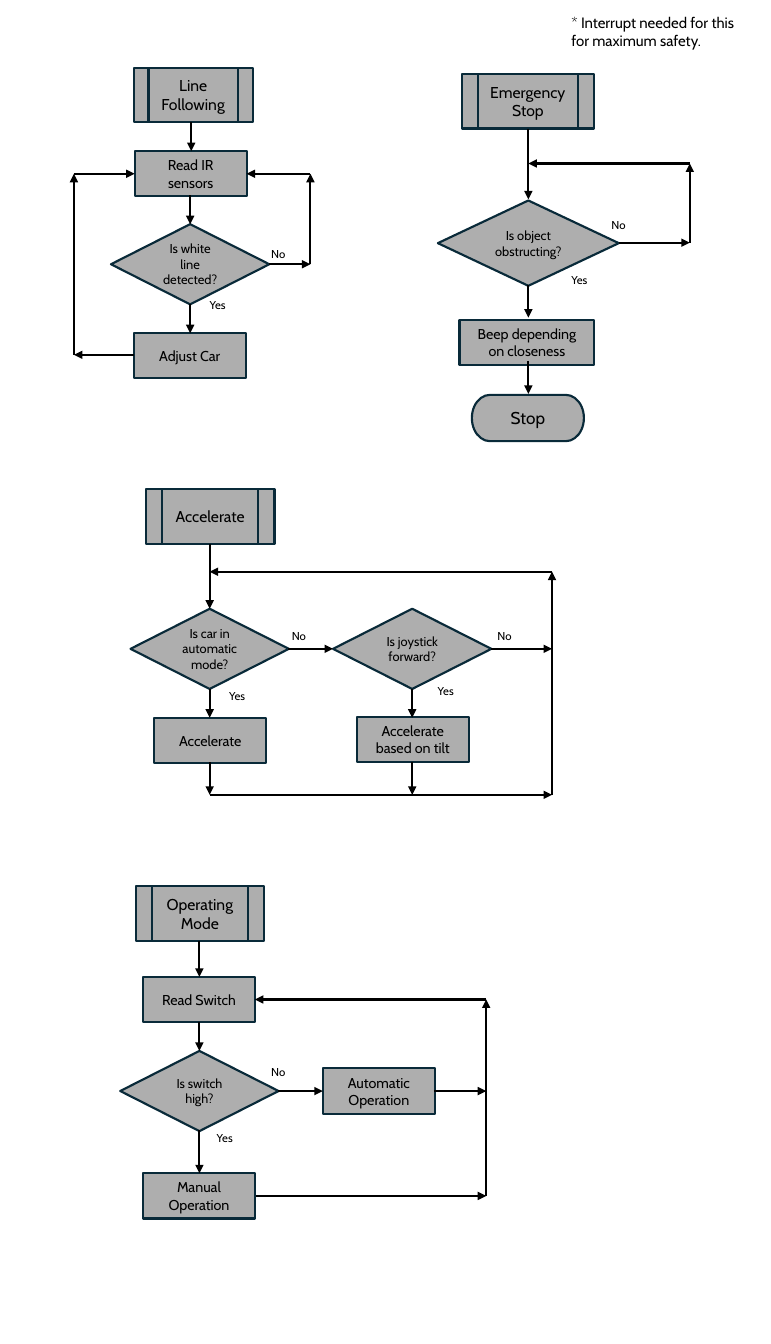
import pptx
import pptx.dml.color
import pptx.enum.shapes
import pptx.enum.text
import pptx.oxml
import pptx.oxml.ns
import pptx.util

SHAPES = pptx.enum.shapes.MSO_SHAPE
COLOURS = {"fill": "AEAEAE", "outline": "092A39", "ink": "000000", "paper": "FFFFFF"}


class FlowPage:
    font = "Cabin"
    stroke = pptx.util.Pt(1.5)
    scale = 9144

    def __init__(self, deck, width, height):
        deck.slide_width = self.px(width)
        deck.slide_height = self.px(height)
        self.page = deck.slides.add_slide(deck.slide_layouts[6])
        background = self.page.background.fill
        background.solid()
        background.fore_color.rgb = self.colour("paper")

    def px(self, length):
        return pptx.util.Emu(length * self.scale)

    def colour(self, name):
        return pptx.dml.color.RGBColor.from_string(COLOURS[name])

    def add_words(self, box, words, size, align):
        para = box.text_frame.paragraphs[0]
        para.alignment = align
        span = para.add_run()
        span.text = words
        span.font.name = self.font
        span.font.size = pptx.util.Pt(size)
        span.font.color.rgb = self.colour("ink")

    def node(self, kind, left, top, width, height, words, size):
        box = self.page.shapes.add_shape(kind, *map(self.px, (left, top, width, height)))
        box.shadow.inherit = False
        box.fill.solid()
        box.fill.fore_color.rgb = self.colour("fill")
        box.line.color.rgb = self.colour("outline")
        box.line.width = self.stroke
        box.text_frame.word_wrap = True
        box.text_frame.vertical_anchor = pptx.enum.text.MSO_ANCHOR.MIDDLE
        self.add_words(box, words, size, pptx.enum.text.PP_ALIGN.CENTER)

    def routine(self, left, top, width, words):
        self.node(SHAPES.FLOWCHART_PREDEFINED_PROCESS, left, top, width, 53, words, 11)

    def process(self, left, top, words, width=109):
        self.node(SHAPES.FLOWCHART_PROCESS, left, top, width, 44, words, 10)

    def decision(self, left, top, words, width=154, height=78):
        self.node(SHAPES.FLOWCHART_DECISION, left, top, width, height, words, 9)

    def terminator(self, left, top, words):
        self.node(SHAPES.FLOWCHART_TERMINATOR, left, top, 109, 45, words, 12)

    def label(self, left, top, width, height, words, size=8, wrap=False):
        box = self.page.shapes.add_textbox(*map(self.px, (left, top, width, height)))
        box.text_frame.word_wrap = wrap
        box.text_frame.auto_size = pptx.enum.text.MSO_AUTO_SIZE.SHAPE_TO_FIT_TEXT
        self.add_words(box, words, size, pptx.enum.text.PP_ALIGN.LEFT)

    def yes(self, left, top):
        self.label(left, top, 47, 24, "Yes")

    def no(self, left, top):
        self.label(left, top, 35, 24, "No")

    def route(self, *points):
        namespace = pptx.oxml.ns.nsdecls("a")
        for start, end in zip(points, points[1:]):
            arrow = self.page.shapes.add_connector(
                pptx.enum.shapes.MSO_CONNECTOR.STRAIGHT, *map(self.px, start + end))
            arrow.line.color.rgb = self.colour("ink")
            arrow.line.width = self.stroke
            properties = arrow._element.spPr
            properties.get_or_add_ln().append(
                pptx.oxml.parse_xml(f'<a:tailEnd {namespace} type="triangle"/>'))
            properties.append(pptx.oxml.parse_xml(f"<a:effectLst {namespace}/>"))

    def down(self, centre, top, bottom):
        self.route((centre, top), (centre, bottom))


def line_following(chart):
    chart.routine(130, 66, 116, "Line Following")
    chart.process(131, 147, "Read IR sensors")
    chart.decision(108, 218, "Is white line detected?")
    chart.process(130, 324, "Adjust Car")
    chart.down(186, 119, 147)
    chart.down(185, 190, 218)
    chart.down(185, 296, 324)
    chart.route((262, 257), (302, 257), (302, 169), (240, 169))
    chart.route((130, 345), (72, 345), (72, 169), (131, 169))
    chart.no(254, 235)
    chart.yes(194, 285)


def emergency_stop(chart):
    chart.routine(449, 72, 129, "Emergency Stop")
    chart.decision(426, 195, "Is object obstructing?", 176, 83)
    chart.process(447, 311, "Beep depending on closeness", 131)
    chart.terminator(459, 384, "Stop")
    for top, bottom in ((125, 194), (277, 309), (351, 383)):
        chart.down(514, top, bottom)
    chart.route((602, 236), (671, 236), (671, 159), (514, 159))
    chart.no(585, 207)
    chart.yes(546, 261)
    chart.label(546, 8, 180, 45, "* Interrupt needed for this for maximum safety.", 10.5, True)


def accelerate(chart):
    chart.routine(142, 476, 125, "Accelerate")
    chart.decision(127, 592, "Is car in automatic mode?")
    chart.decision(324, 592, "Is joystick forward?")
    chart.process(150, 698, "Accelerate")
    chart.process(347, 697, "Accelerate based on tilt")
    chart.down(204, 529, 592)
    for centre in (204, 401):
        chart.down(centre, 670, 698)
        chart.down(centre, 741, 773)
    chart.route((280, 631), (324, 631))
    chart.route((478, 631), (537, 631))
    chart.route((204, 773), (537, 773), (537, 556), (204, 556))
    chart.no(274, 607)
    chart.no(474, 607)
    chart.yes(213, 665)
    chart.yes(416, 660)


def operating_mode(chart):
    chart.routine(132, 862, 125, "Operating Mode")
    chart.process(139, 950, "Read Switch")
    chart.decision(117, 1022, "Is switch high?")
    chart.process(314, 1039, "Automatic Operation")
    chart.process(139, 1141, "Manual Operation")
    for top, bottom in ((915, 950), (994, 1022), (1099, 1141)):
        chart.down(194, top, bottom)
    chart.route((270, 1061), (314, 1061))
    chart.route((422, 1061), (473, 1061))
    chart.route((249, 1163), (473, 1163), (473, 972), (248, 972))
    chart.no(254, 1031)
    chart.yes(201, 1095)


def main():
    deck = pptx.Presentation()
    chart = FlowPage(deck, 750, 1307)
    line_following(chart)
    emergency_stop(chart)
    accelerate(chart)
    operating_mode(chart)
    deck.save("out.pptx")


if __name__ == "__main__":
    main()
